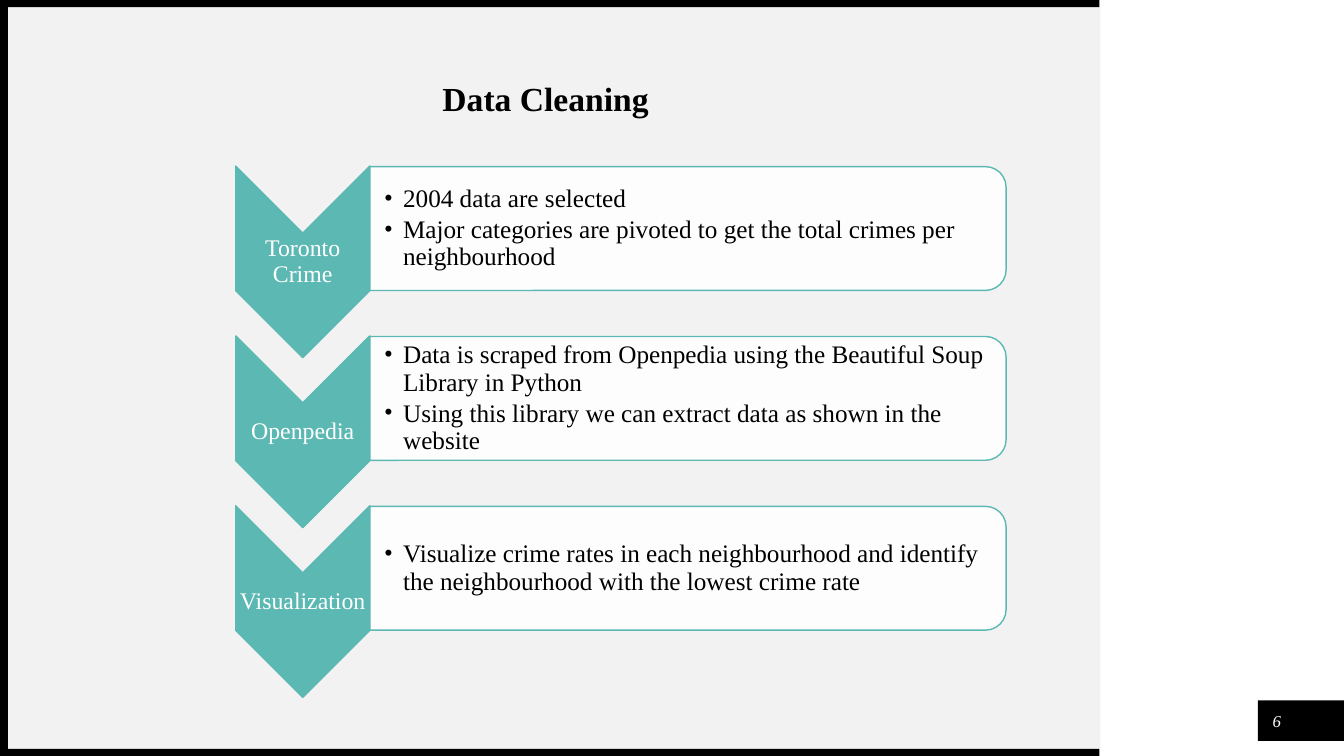
from lxml.etree import SubElement
from pptx import Presentation
from pptx.dml.color import RGBColor
from pptx.enum.shapes import MSO_SHAPE
from pptx.enum.text import MSO_ANCHOR, MSO_AUTO_SIZE, PP_ALIGN
from pptx.oxml.ns import qn
from pptx.util import Cm, Pt

TEAL = RGBColor(0x5C, 0xB8, 0xB3)
PALE = RGBColor(0xF2, 0xF2, 0xF2)
BLACK = RGBColor(0, 0, 0)
WHITE = RGBColor(255, 255, 255)
SERIF = "Times New Roman"

# Content
TITLE = "Data Cleaning"
STEPS = [
    ("Toronto Crime", [
        "2004 data are selected",
        "Major categories are pivoted to get the total crimes per neighbourhood"]),
    ("Openpedia", [
        "Data is scraped from Openpedia using the Beautiful Soup Library in Python",
        "Using this library we can extract data as shown in the website"]),
    ("Visualization", [
        "Visualize crime rates in each neighbourhood and identify "
        "the neighbourhood with the lowest crime rate"]),
]
NUMBER = "6"

# Left, top, width, height in cm
FRAME = [
    ((0.2, 0.18, 27.53, 18.69), PALE),
    ((31.7, 17.65, 2.17, 1.02), BLACK),
    ((0, 18.87, 27.71, 0.18), BLACK),
    ((0, 0, 27.71, 0.18), BLACK),
    ((0, 0, 0.2, 19.05), BLACK),
]

# Step geometry in cm: centres, then sizes
STEP = 4.28
ARROW_X, ARROW_Y = 7.63, 6.6
PANEL_X, PANEL_Y = 17.34, 5.76
ARROW = (4.83, 3.38)
PANEL = (3.12, 16.03)
LABEL = (3.38, 1.45)
BODY_X, BODY = 17.26, (15.88, 2.82)

deck = Presentation()
deck.slide_width, deck.slide_height = Cm(33.87), Cm(19.05)
slide = deck.slides.add_slide(deck.slide_layouts[5])
shapes = slide.shapes


def center(x, y, size):
    wide, high = size
    return x - wide / 2, y - high / 2, wide, high


def block(kind, box, fill, line=None, turn=0):
    shape = shapes.add_shape(kind, *map(Cm, box))
    shape.shadow.inherit = False
    shape.rotation = turn
    shape.fill.solid()
    shape.fill.fore_color.rgb = fill
    if line is None:
        shape.line.fill.background()
    else:
        shape.line.color.rgb = line
        shape.line.width = Pt(1)
    return shape


def write(lines, box, holder=None, size=18, color=BLACK, bold=False, italic=False,
          align=PP_ALIGN.LEFT, pads=(0, 0, 0, 0), space=1.0, after=0, bullet=False):
    holder = holder or shapes.add_textbox(0, 0, 0, 0)
    holder.left, holder.top, holder.width, holder.height = map(Cm, box)
    frame = holder.text_frame
    frame.word_wrap = True
    frame.auto_size = MSO_AUTO_SIZE.NONE
    frame.vertical_anchor = MSO_ANCHOR.MIDDLE
    (frame.margin_left, frame.margin_top,
     frame.margin_right, frame.margin_bottom) = map(Cm, pads)
    for i, line in enumerate(lines):
        para = frame.paragraphs[0] if i == 0 else frame.add_paragraph()
        para.alignment = align
        para.line_spacing = space
        para.space_before = Pt(0)
        para.space_after = Pt(after if i < len(lines) - 1 else 0)
        if bullet:
            props = para._p.get_or_add_pPr()
            props.set("marL", str(Cm(0.48)))
            props.set("indent", str(-Cm(0.48)))
            SubElement(props, qn("a:buFont"), typeface=SERIF)
            SubElement(props, qn("a:buChar"), char="•")
        run = para.add_run()
        run.text = line
        run.font.name, run.font.size = SERIF, Pt(size)
        run.font.bold, run.font.italic = bold, italic
        run.font.color.rgb = color


# Frame and page number
for box, fill in FRAME:
    block(MSO_SHAPE.RECTANGLE, box, fill)
write([NUMBER], (31.8, 17.78, 0.76, 0.76), size=12, color=WHITE, italic=True,
      align=PP_ALIGN.CENTER)

# Steps: chevron with label, panel with bullets
for i, (label, points) in enumerate(STEPS):
    down = i * STEP
    spot = ARROW_Y + down
    block(MSO_SHAPE.CHEVRON, center(ARROW_X, spot, ARROW), TEAL, TEAL, 90)
    write([label], center(ARROW_X, spot, LABEL), size=17, color=WHITE,
          align=PP_ALIGN.CENTER, pads=(0.03,) * 4, space=0.9)
    spot = PANEL_Y + down
    panel = block(MSO_SHAPE.ROUND_2_SAME_RECTANGLE,
                  center(PANEL_X, spot, PANEL), WHITE, TEAL, 90)
    tint = next(panel.element.iter(qn("a:srgbClr")))
    SubElement(tint, qn("a:alpha"), val="90000")
    write(points, center(BODY_X, spot, BODY), pads=(0.36, 0.03, 0.03, 0.03),
          space=0.9, after=2.7, bullet=True)

# Title, brought in front of the frame
title = shapes.title
title.element.getparent().append(title.element)
write([TITLE], (10.9, 1.83, 20.9, 1.27), holder=title, size=24, bold=True,
      pads=(0.25, 0.13, 0.25, 0.13))

deck.save("out.pptx")
